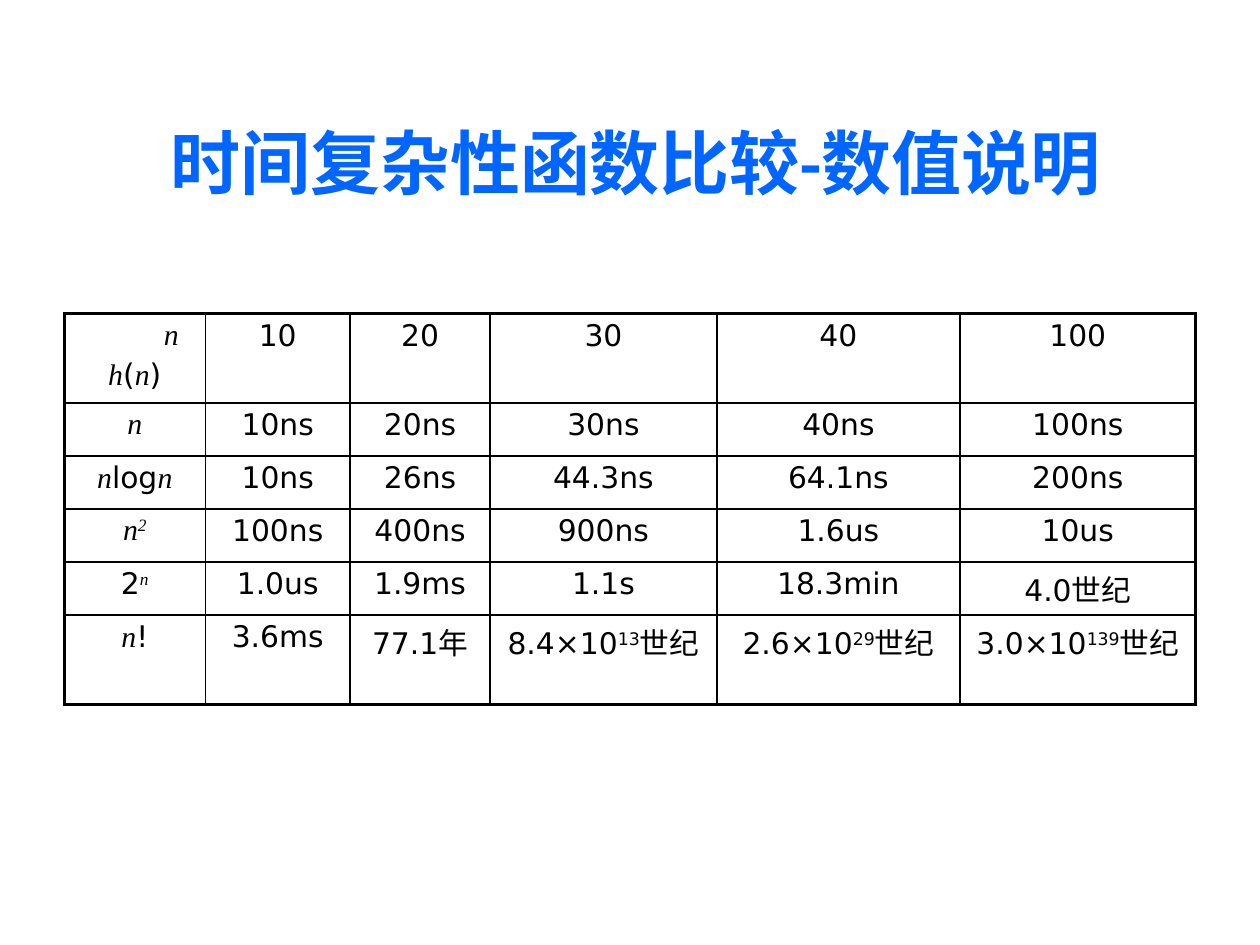
from lxml import etree
from pptx import Presentation
from pptx.dml.color import RGBColor
from pptx.enum.text import MSO_ANCHOR, PP_ALIGN
from pptx.oxml.ns import qn
from pptx.util import Inches, Pt

MID = MSO_ANCHOR.MIDDLE
CENTER = PP_ALIGN.CENTER
BLUE = RGBColor(0x00, 0x66, 0xFF)
BLACK = RGBColor(0x00, 0x00, 0x00)
THICK, THIN = Pt(2.25), Pt(1)

COLS = [1.12, 1.15, 1.11, 1.8, 1.93, 1.87]
ROWS = [0.71, 0.42, 0.42, 0.42, 0.42, 0.71]
CELLS = [
    ["*n*\n*h*(*n*)", "10", "20", "30", "40", "100"],
    ["*n*", "10ns", "20ns", "30ns", "40ns", "100ns"],
    ["*n*log*n*", "10ns", "26ns", "44.3ns", "64.1ns", "200ns"],
    ["*n^2^*", "100ns", "400ns", "900ns", "1.6us", "10us"],
    ["2^*n*^", "1.0us", "1.9ms", "1.1s", "18.3min", "4.0世纪"],
    ["*n*!", "3.6ms", "77.1年", "8.4×10^13^世纪", "2.6×10^29^世纪",
     "3.0×10^139^世纪"],
]


class Deck:
    """Holds the style and the current slide; lengths are shares of its size."""

    head, body, math = "Calibri", "DejaVu Sans", "Times New Roman"
    size = 17

    def __init__(self, wide, high):
        self.prs = Presentation()
        self.prs.slide_width, self.prs.slide_height = Inches(wide), Inches(high)
        self.slide = self.prs.slides.add_slide(self.prs.slide_layouts[5])

    def box(self, x, y, w, h):
        wide, high = self.prs.slide_width, self.prs.slide_height
        return int(x * wide), int(y * high), int(w * wide), int(h * high)

    def style(self, run, name, size, color):
        font = run.font
        font.name, font.size, font.color.rgb = name, Pt(size), color
        return font

    def title(self, text, *area):
        shape = self.slide.shapes.title
        shape.left, shape.top, shape.width, shape.height = self.box(*area)
        frame = shape.text_frame
        frame.text = text
        frame.vertical_anchor = MID
        para = frame.paragraphs[0]
        para.alignment = CENTER
        self.style(para.runs[0], self.head, 40, BLUE).bold = True

    def rich(self, para, text):
        italic = raised = False
        for part in text.replace("*", "|*|").replace("^", "|^|").split("|"):
            if part == "*":
                italic = not italic
            elif part == "^":
                raised = not raised
            elif part:
                run = para.add_run()
                run.text = part
                name = self.math if italic else self.body
                self.style(run, name, self.size, BLACK).italic = italic
                if raised:
                    run._r.get_or_add_rPr().set("baseline", "30000")

    def border(self, cell, sides):
        props = cell._tc.get_or_add_tcPr()
        for side, width in sides.items():
            line = etree.SubElement(props, qn("a:ln" + side), w=str(width))
            fill = etree.SubElement(line, qn("a:solidFill"))
            etree.SubElement(fill, qn("a:srgbClr"), val=str(BLACK))

    def cell(self, cell, text, sides):
        cell.margin_left = cell.margin_right = Inches(0.09)
        cell.margin_top = cell.margin_bottom = Inches(0.04)
        self.border(cell, sides)
        cell.fill.background()
        frame = cell.text_frame
        for i, line in enumerate(text.split("\n")):
            para = frame.add_paragraph() if i else frame.paragraphs[0]
            para.alignment = CENTER
            para.space_before = Pt(0.2 * self.size if i else 0)
            self.rich(para, line)

    def table(self, x, y, cols, rows, cells):
        wide, high = self.prs.slide_width.inches, self.prs.slide_height.inches
        area = self.box(x, y, sum(cols) / wide, sum(rows) / high)
        grid = self.slide.shapes.add_table(len(rows), len(cols), *area).table
        grid.first_row = grid.horz_banding = False
        for col, width in zip(grid.columns, cols):
            col.width = Inches(width)
        for row, height in zip(grid.rows, rows):
            row.height = Inches(height)
        for r, texts in enumerate(cells):
            for c, text in enumerate(texts):
                edges = {"L": c == 0, "R": c == len(cols) - 1,
                         "T": r == 0, "B": r == len(rows) - 1}
                sides = {k: THICK if v else THIN for k, v in edges.items()}
                self.cell(grid.cell(r, c), text, sides)
        return grid

    def indent(self, para, width):
        para._p.get_or_add_pPr().set("marL", str(Inches(width)))


def main():
    deck = Deck(10, 7.5)
    deck.title("时间复杂性函数比较-数值说明", 0.067, 0.132, 0.875, 0.077)
    grid = deck.table(0.051, 0.332, COLS, ROWS, CELLS)
    deck.indent(grid.cell(0, 0).text_frame.paragraphs[0], 0.58)
    deck.prs.save("out.pptx")


if __name__ == "__main__":
    main()
